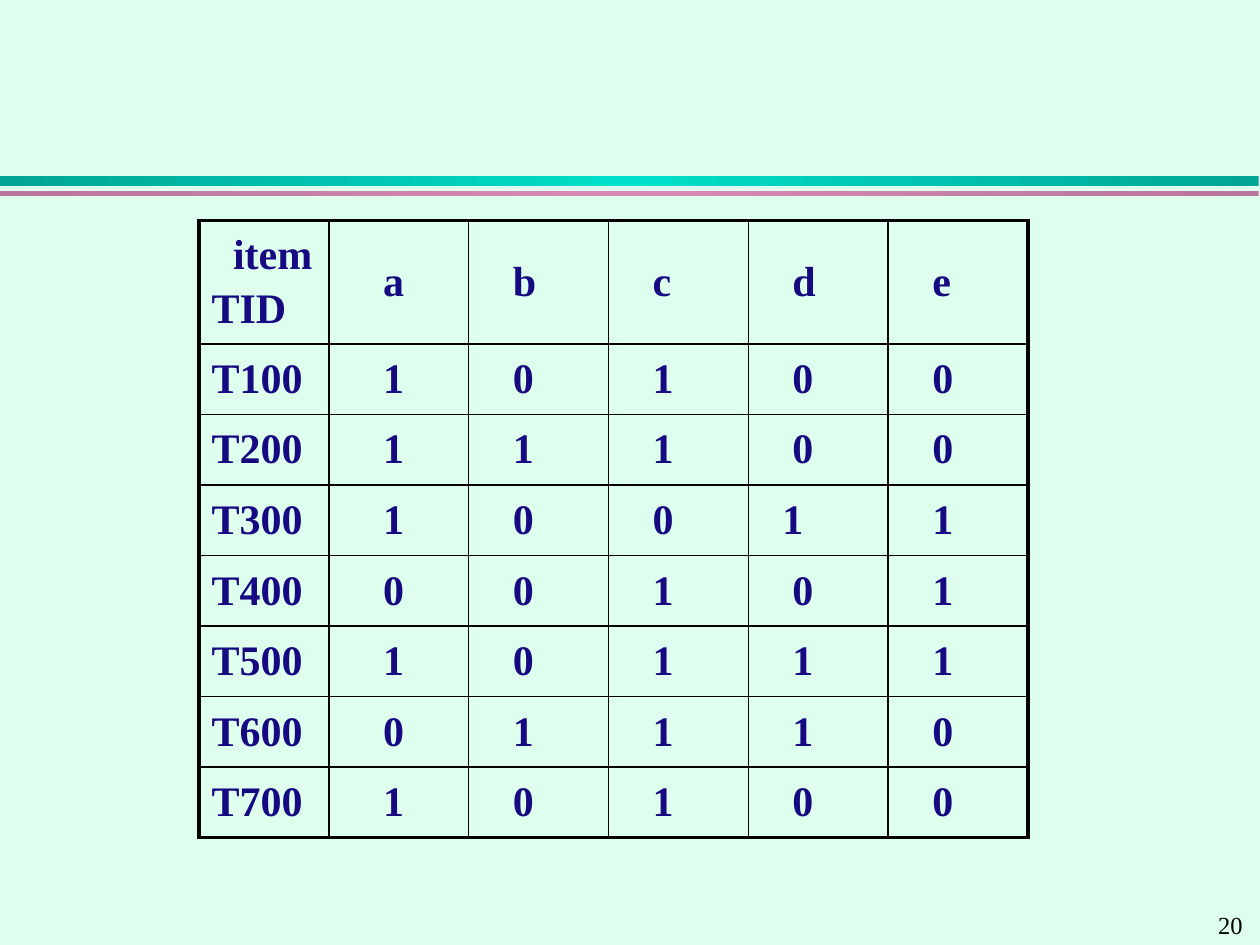
import dataclasses

import lxml.etree
import pptx
import pptx.dml.color
import pptx.enum.shapes
import pptx.enum.text
import pptx.oxml.ns
import pptx.util

Inches = pptx.util.Inches
Pt = pptx.util.Pt
qn = pptx.oxml.ns.qn


@dataclasses.dataclass(frozen=True)
class Theme:
    font: str = "Times New Roman"
    background: str = "DEFEEE"
    ink: str = "170981"
    black: str = "000000"
    teal: tuple = ("00A595", "00DFCA", "00A595")
    pink: tuple = ("BA759D", "D989B8", "BA759D")
    table_size: int = 24
    number_size: int = 14
    outer_line: float = 2.25
    inner_line: float = 1


def rgb(color):
    return pptx.dml.color.RGBColor.from_string(color)


def add_solid_fill(parent, color):
    fill = lxml.etree.SubElement(parent, qn("a:solidFill"))
    lxml.etree.SubElement(fill, qn("a:srgbClr"), val=color)


def write_text(tf, text, *, font, size, color, bold=False, indents=(0,), before=0):
    """Write one paragraph per line; indents holds a left indent in inches for each."""
    for i, (line, indent) in enumerate(zip(text.split("\n"), indents)):
        p = tf.paragraphs[0] if i == 0 else tf.add_paragraph()
        p._p.get_or_add_pPr().set("marL", str(Inches(indent)))
        if i:
            p.space_before = Pt(before)
        r = p.add_run()
        r.text = line
        r.font.name = font
        r.font.size = Pt(size)
        r.font.bold = bold
        r.font.color.rgb = rgb(color)


class SlideBuilder:
    def __init__(self, prs, theme):
        self.theme = theme
        self.slide = prs.slides.add_slide(prs.slide_layouts[6])
        fill = self.slide.background.fill
        fill.solid()
        fill.fore_color.rgb = rgb(theme.background)

    def gradient_bar(self, top, height, colors):
        sp = self.slide.shapes.add_shape(
            pptx.enum.shapes.MSO_SHAPE.RECTANGLE,
            Inches(0), Inches(top), Inches(9.99), Inches(height))
        sp.shadow.inherit = False
        sp.line.fill.background()
        sp.fill.gradient()
        sp.fill.gradient_angle = 0
        stops = sp._element.spPr.find(qn("a:gradFill")).find(qn("a:gsLst"))
        for stop in list(stops):
            stops.remove(stop)
        for i, color in enumerate(colors):
            stop = lxml.etree.SubElement(stops, qn("a:gs"), pos=str(i * 50000))
            lxml.etree.SubElement(stop, qn("a:srgbClr"), val=color)

    def page_number(self, number):
        box = self.slide.shapes.add_textbox(
            Inches(9.57), Inches(7.17), Inches(0.43), Inches(0.33))
        tf = box.text_frame
        tf.word_wrap = False
        tf.auto_size = pptx.enum.text.MSO_AUTO_SIZE.SHAPE_TO_FIT_TEXT
        write_text(tf, str(number), font=self.theme.font,
                   size=self.theme.number_size, color=self.theme.black)

    def border(self, cell, outer_sides):
        """Draw all four sides, with the heavy line on the outer ones."""
        tcPr = cell._tc.get_or_add_tcPr()
        for side in "LRTB":
            width = self.theme.outer_line if side in outer_sides else self.theme.inner_line
            line = lxml.etree.SubElement(tcPr, qn("a:ln" + side), w=str(Pt(width)))
            add_solid_fill(line, self.theme.black)

    def table(self, left, top, widths, heights, rows, indent_for):
        table = self.slide.shapes.add_table(
            len(heights), len(widths), Inches(left), Inches(top),
            Inches(sum(widths)), Inches(sum(heights))).table
        table.first_row = table.horz_banding = False
        for column, width in zip(table.columns, widths):
            column.width = Inches(width)
        for row, height in zip(table.rows, heights):
            row.height = Inches(height)
        last_row, last_col = len(heights) - 1, len(widths) - 1
        for i, row in enumerate(rows):
            for j, text in enumerate(row):
                cell = table.cell(i, j)
                edges = {"L": j == 0, "R": j == last_col, "T": i == 0, "B": i == last_row}
                self.border(cell, [side for side, outer in edges.items() if outer])
                cell.fill.background()
                cell.vertical_anchor = pptx.enum.text.MSO_ANCHOR.MIDDLE
                write_text(cell.text_frame, text, font=self.theme.font,
                           size=self.theme.table_size, color=self.theme.ink, bold=True,
                           indents=indent_for(i, j), before=0.2 * self.theme.table_size)


COLUMN_INDENTS = (0, 0.33, 0.25, 0.25, 0.25, 0.25)
SPECIAL_INDENTS = {(0, 0): (0.17, 0), (3, 4): (0.17,)}
TRANSACTIONS = {
    "T100": "10100",
    "T200": "11100",
    "T300": "10011",
    "T400": "00101",
    "T500": "10111",
    "T600": "01110",
    "T700": "10100",
}


def cell_indents(i, j):
    return SPECIAL_INDENTS.get((i, j), (COLUMN_INDENTS[j],))


def main():
    prs = pptx.Presentation()
    prs.slide_width, prs.slide_height = Inches(10), Inches(7.5)
    theme = Theme()
    s = SlideBuilder(prs, theme)
    s.gradient_bar(1.4, 0.08, theme.teal)
    s.gradient_bar(1.52, 0.04, theme.pink)
    s.page_number(20)
    rows = [["item\nTID", *"abcde"]]
    rows += [[tid, *flags] for tid, flags in TRANSACTIONS.items()]
    s.table(1.58, 1.75, [1.03] + [1.11] * 5, [0.98] + [0.56] * len(TRANSACTIONS),
            rows, cell_indents)
    prs.save("out.pptx")


if __name__ == "__main__":
    main()
